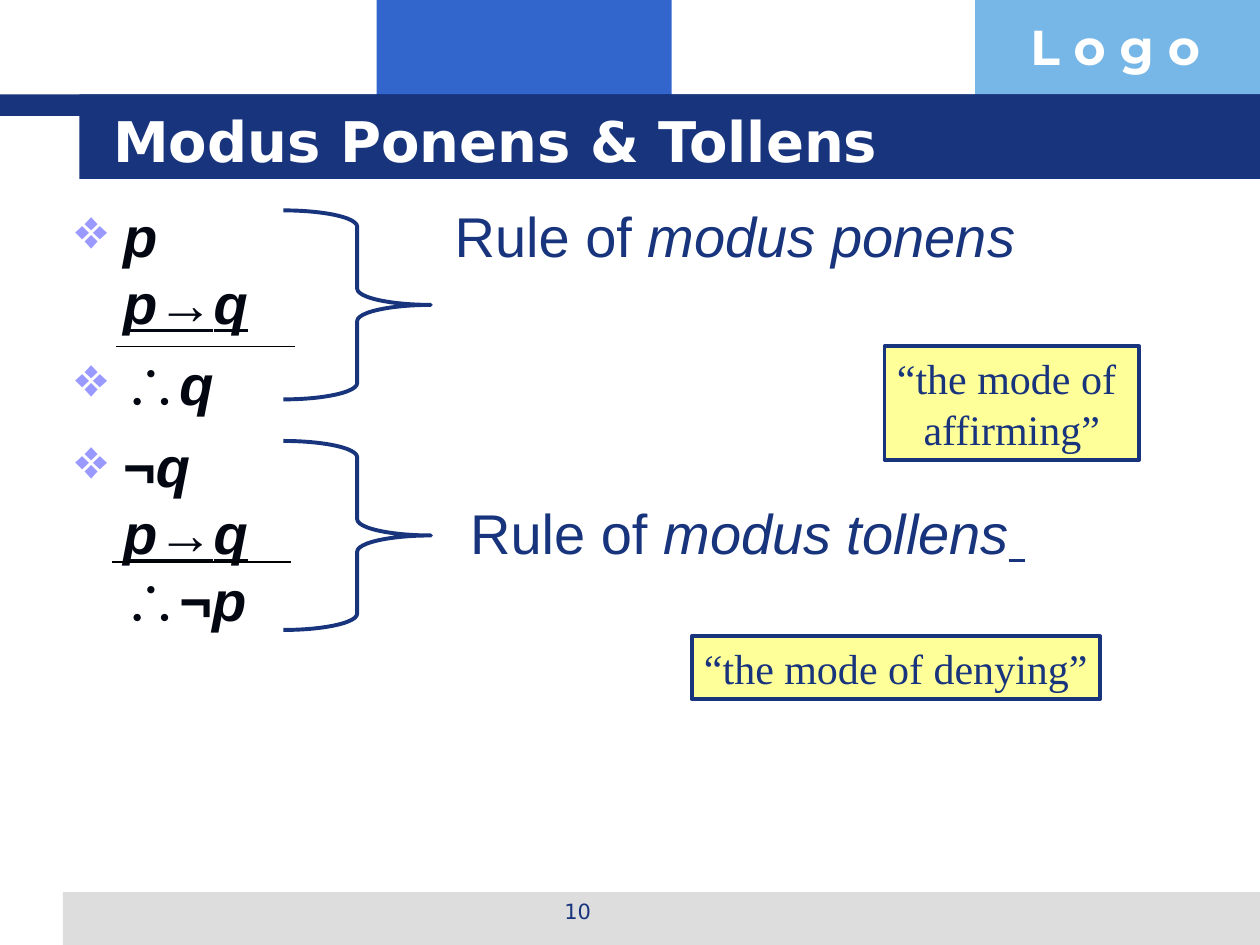
"""Build the slide on the rules of modus ponens and modus tollens."""
from lxml import etree
from pptx import Presentation
from pptx.dml.color import RGBColor
from pptx.enum.shapes import MSO_CONNECTOR, MSO_SHAPE
from pptx.enum.text import MSO_ANCHOR, PP_ALIGN
from pptx.oxml.ns import qn
from pptx.util import Inches, Pt

RECTANGLE = MSO_SHAPE.RECTANGLE
RIGHT_BRACE = MSO_SHAPE.RIGHT_BRACE
STRAIGHT = MSO_CONNECTOR.STRAIGHT
TOP, MIDDLE = MSO_ANCHOR.TOP, MSO_ANCHOR.MIDDLE
LEFT, CENTER = PP_ALIGN.LEFT, PP_ALIGN.CENTER

NAVY = RGBColor(0x17, 0x34, 0x7D)
BLUE = RGBColor(0x33, 0x66, 0xCC)
SKY = RGBColor(0x77, 0xB7, 0xE7)
GRAY = RGBColor(0xDD, 0xDD, 0xDD)
INK = RGBColor(0x03, 0x07, 0x11)
LILAC = RGBColor(0x99, 0x99, 0xFF)
YELLOW = RGBColor(0xFF, 0xFF, 0x99)
WHITE = RGBColor(0xFF, 0xFF, 0xFF)
BLACK = RGBColor(0, 0, 0)

BANDS = [
    ((2.99, 0, 2.34, 0.92), BLUE),
    ((7.74, 0, 2.26, 0.92), SKY),
    ((0.5, 7.08, 9.5, 0.42), GRAY),
    ((0, 0.75, 10, 0.17), NAVY),
    ((0.63, 0.75, 9.37, 0.67), NAVY),
]

IMPLICATION = [("p", "biu"), ("→", "bu"), ("q", "biu")]
RULES = [
    [[("p", "bi"), ("\t", ""), ("Rule of ", ""), ("modus ponens", "i")], IMPLICATION],
    [[("∴", "b"), ("q", "bi")]],
    [
        [("¬", "b"), ("q", "bi")],
        IMPLICATION + [("\t ", "i"), ("Rule of ", ""), ("modus tollens", "i"), (" ", "iu")],
        [("∴¬", "b"), ("p", "bi")],
    ],
]


class SlideBuilder:
    """Draw styled elements on the current slide."""

    def __init__(self, slide):
        self.slide = slide
        self.accent = NAVY
        self.line_width = Pt(2.25)
        self.body_size = Pt(32)

    def shape(self, kind, box, fill=None, outlined=False):
        shape = self.slide.shapes.add_shape(kind, *map(Inches, box))
        shape.shadow.inherit = False
        if fill is None:
            shape.fill.background()
        else:
            shape.fill.solid()
            shape.fill.fore_color.rgb = fill
        if outlined:
            shape.line.color.rgb = self.accent
            shape.line.width = self.line_width
        else:
            shape.line.fill.background()
        return shape

    def fill_text(self, text_frame, text, font, size, color, bold=False, align=LEFT):
        text_frame.text = text
        paragraph = text_frame.paragraphs[0]
        paragraph.alignment = align
        for run in paragraph.runs:
            run.font.name = font
            run.font.size = Pt(size)
            run.font.color.rgb = color
            run.font.bold = bold

    def text(self, box, text, font, size, color, bold=False, align=LEFT, anchor=TOP):
        text_frame = self.slide.shapes.add_textbox(*map(Inches, box)).text_frame
        text_frame.word_wrap = True
        text_frame.vertical_anchor = anchor
        self.fill_text(text_frame, text, font, size, color, bold, align)

    def note(self, box, text):
        text_frame = self.shape(RECTANGLE, box, YELLOW, outlined=True).text_frame
        text_frame.word_wrap = False
        text_frame.vertical_anchor = TOP
        self.fill_text(text_frame, text, "Times New Roman", 24, self.accent, align=CENTER)

    def brace(self, top):
        brace = self.shape(RIGHT_BRACE, (2.25, top, 1.17, 1.5), outlined=True)
        brace.adjustments[0] = 0.11

    def rule_line(self, left, top, length):
        line = self.slide.shapes.add_connector(
            STRAIGHT, Inches(left), Inches(top), Inches(left + length), Inches(top))
        line.line.color.rgb = BLACK
        line.line.width = Pt(0.75)
        etree.SubElement(line._element.spPr, qn("a:effectLst"))

    def bullet(self, paragraph):
        properties = paragraph._p.get_or_add_pPr()
        properties.set("marL", str(Inches(0.38)))
        properties.set("indent", str(-Inches(0.38)))
        color = etree.SubElement(properties, qn("a:buClr"))
        etree.SubElement(color, qn("a:srgbClr"), val=str(LILAC))
        etree.SubElement(properties, qn("a:buChar"), char="❖")
        tabs = etree.SubElement(properties, qn("a:tabLst"))
        etree.SubElement(tabs, qn("a:tab"), pos=str(Inches(3.01)), algn="l")

    def body(self, box, paragraphs):
        text_frame = self.slide.shapes.add_textbox(*map(Inches, box)).text_frame
        text_frame.word_wrap = True
        for index, lines in enumerate(paragraphs):
            paragraph = text_frame.add_paragraph() if index else text_frame.paragraphs[0]
            self.bullet(paragraph)
            paragraph.space_before = Pt(8 if index else 0)
            paragraph.font.size = self.body_size
            for number, line in enumerate(lines):
                if number:
                    paragraph.add_line_break()
                for text, marks in line:
                    self.body_run(paragraph, text, marks)

    def body_run(self, paragraph, text, marks):
        run = paragraph.add_run()
        run.text = text
        run.font.name = "Arial"
        run.font.size = self.body_size
        run.font.bold = "b" in marks
        run.font.italic = "i" in marks
        run.font.underline = "u" in marks
        run.font.color.rgb = INK if "b" in marks else self.accent


def main():
    presentation = Presentation()
    presentation.slide_width = Inches(10)
    presentation.slide_height = Inches(7.5)
    builder = SlideBuilder(presentation.slides.add_slide(presentation.slide_layouts[6]))

    for box, color in BANDS:
        builder.shape(RECTANGLE, box, color)
    builder.text((8.08, 0.08, 1.93, 0.57), "L o g o", "Montserrat", 28, WHITE, bold=True)
    builder.text((3.42, 7.08, 2.33, 0.35), "10", "DejaVu Sans", 12, NAVY, align=CENTER)
    builder.text((0.8, 0.8, 8.53, 0.62), "Modus Ponens & Tollens", "DejaVu Sans", 32,
                 WHITE, bold=True, anchor=MIDDLE)
    builder.body((0.5, 1.55, 9, 5.34), RULES)
    builder.note((7.02, 2.75, 2.02, 0.9), "“the mode of \vaffirming”")
    builder.note((5.49, 5.05, 3.24, 0.5), "“the mode of denying”")
    for top in (1.67, 3.5):
        builder.brace(top)
    for left, top in ((0.92, 2.75), (0.89, 4.46)):
        builder.rule_line(left, top, 1.42)

    presentation.save("out.pptx")


if __name__ == "__main__":
    main()
